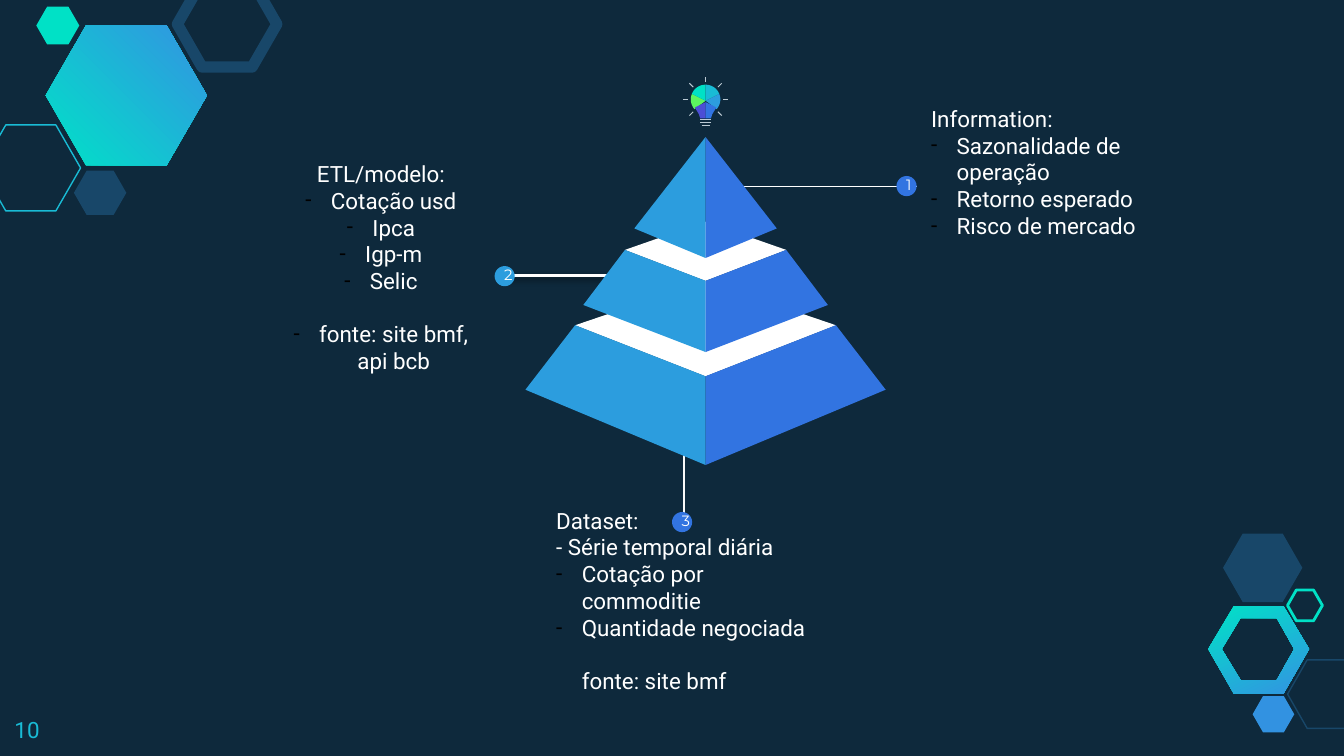
import math
import pptx
import pptx.util
import pptx.dml.color
import pptx.enum.shapes
import pptx.enum.text
import pptx.oxml
import pptx.oxml.ns

Inches = pptx.util.Inches
Pt = pptx.util.Pt
KIND = pptx.enum.shapes.MSO_SHAPE
ALIGN = pptx.enum.text.PP_ALIGN
NS = pptx.oxml.ns.nsdecls("a")
DARK, NAVY, MINT, CYAN = "0E293C", "184769", "00E1C6", "19BBD5"
SKY, BLUE, WHITE, GREY = "2C9DDE", "3274E1", "FFFFFF", "BBC9D3"


def tint(code):
    return pptx.dml.color.RGBColor.from_string(code)


def put(item, vals):
    for key, val in vals.items():
        setattr(item, key, val)


def paint(shape, fill=None, line=None, width=0.75):
    shape.shadow.inherit = False
    if fill:
        shape.fill.solid()
        shape.fill.fore_color.rgb = tint(fill)
    else:
        shape.fill.background()
    if line:
        shape.line.color.rgb = tint(line)
        shape.line.width = Pt(width)
    else:
        shape.line.fill.background()


def blend(shape, angle, start, end):
    shape.fill.gradient()
    shape.fill.gradient_angle = angle
    for stop, code in zip(shape.fill.gradient_stops, (start, end)):
        stop.color.rgb = tint(code)


def poly(slide, left, top, loops, **look):
    loops = [[(Inches(left + x), Inches(top + y)) for x, y in loop] for loop in loops]
    build = slide.shapes.build_freeform(*loops[0][0], scale=1.0)
    build.add_line_segments(loops[0][1:], close=True)
    for loop in loops[1:]:
        build.move_to(*loop[0])
        build.add_line_segments(loop[1:], close=True)
    shape = build.convert_to_shape()
    paint(shape, **look)
    return shape


def rule(slide, start, end, code, width, glow=False):
    ends = [Inches(v) for v in (*start, *end)]
    line = slide.shapes.add_connector(pptx.enum.shapes.MSO_CONNECTOR.STRAIGHT, *ends)
    line.line.color.rgb = tint(code)
    line.line.width = Pt(width)
    cast = ('<a:outerShdw blurRad="39370" dist="20320" dir="5400000" rotWithShape="0">'
            '<a:srgbClr val="000000"><a:alpha val="38000"/></a:srgbClr></a:outerShdw>')
    xml = f'<a:effectLst {NS}>{cast if glow else ""}</a:effectLst>'
    line._element.spPr.append(pptx.oxml.parse_xml(xml))


def write(slide, box, rows, face="Roboto", size=12, code=WHITE, align=ALIGN.LEFT):
    frame = slide.shapes.add_textbox(*[Inches(v) for v in box]).text_frame
    edge = Inches(0.1)
    put(frame, {"word_wrap": True, "margin_left": edge, "margin_right": edge,
                "margin_top": edge, "margin_bottom": edge})
    for spot, (text, mark, gap) in enumerate(rows):
        para = frame.add_paragraph() if spot else frame.paragraphs[0]
        put(para, {"alignment": align, "space_before": Pt(gap)})
        run = para.add_run()
        run.text = text
        put(run.font, {"name": face, "size": Pt(size)})
        run.font.color.rgb = tint(code)
        if mark:
            props = para._p.get_or_add_pPr()
            dent = Inches(0.19)
            props.set("marL", str(dent))
            props.set("indent", str(-dent if mark == "-" else 0))
            if mark == "-":
                for xml in (f'<a:buClr {NS}><a:srgbClr val="000000"/></a:buClr>',
                            f'<a:buFont {NS} typeface="{face}"/>',
                            f'<a:buChar {NS} char="-"/>'):
                    props.append(pptx.oxml.parse_xml(xml))


def hexes(slide, left, top, cells):
    for x, y, wide, high, look in cells:
        box = [Inches(v) for v in (left + x, top + y, wide, high)]
        shape = slide.shapes.add_shape(KIND.HEXAGON, *box)
        shape.adjustments[0] = 0.287
        paint(shape, **look)


def upper(slide, left, top):
    big = [(0.34, 0.71), (0.64, 0.19), (1.24, 0.19), (1.54, 0.71), (1.24, 1.23), (0.64, 1.23)]
    blend(poly(slide, left, top, [big]), 45, "00E2C7", "3393E2")
    hexes(slide, left, top, [
        (-0.14, 0.93, 0.74, 0.64, {"line": CYAN}),
        (0.55, 1.27, 0.39, 0.33, {"fill": NAVY}),
        (1.32, -0.14, 0.74, 0.64, {"line": NAVY, "width": 6}),
        (0.27, 0.05, 0.32, 0.28, {"fill": MINT})])


def lower(slide, left, top):
    outer = [(0, 0.86), (0.19, 0.54), (0.56, 0.54), (0.75, 0.86), (0.56, 1.19), (0.19, 1.19)]
    inner = [(0.1, 0.86), (0.24, 1.09), (0.51, 1.09), (0.64, 0.86), (0.51, 0.63), (0.24, 0.63)]
    blend(poly(slide, left, top, [outer, inner]), 296, "00E2C7", "3393E2")
    hexes(slide, left, top, [
        (0.59, 0.94, 0.59, 0.51, {"line": NAVY}),
        (0.33, 1.21, 0.31, 0.27, {"fill": "3292E1"}),
        (0.11, 0, 0.59, 0.51, {"fill": NAVY}),
        (0.59, 0.42, 0.26, 0.23, {"line": MINT, "width": 1.5})])


def pyramid(slide, axis, top):
    tiers = [
        ([(-0.97, 1.4), (0, 1.78), (0.97, 1.4), (0, 1.07)],
         [(0.97, 1.4), (1.34, 1.88), (0, 2.44), (0, 1.78)]),
        ([(-0.6, 0.84), (0, 1.07), (0.6, 0.84), (0, 0.63)],
         [(0.6, 0.84), (0.91, 1.25), (0, 1.6), (0, 1.07)]),
        ([], [(0, 0), (0.53, 0.68), (0, 0.9)])]
    for lid, face in tiers:
        if lid:
            poly(slide, axis, top, [lid], fill=WHITE)
        for side, code in ((-1, SKY), (1, BLUE)):
            poly(slide, axis, top, [[(side * x, y) for x, y in face]], fill=code)


def bulb(slide, midx, midy):
    def polar(turn, reach):
        angle = math.radians(turn)
        return reach * math.cos(angle), reach * math.sin(angle)

    turns = [139, 202, 270, 338, 401]
    for start, end, code in zip(turns, turns[1:], ("5CF55F", MINT, CYAN, SKY)):
        arc = [polar(start + (end - start) * k / 8, 0.11) for k in range(9)]
        poly(slide, midx, midy, [[(0, 0.01), *arc]], fill=code)
    for side, code in ((-1, "4C4ED5"), (1, BLUE)):
        neck = [(0, 0.02), (0.08 * side, 0.06), (0.05 * side, 0.11), (0.04 * side, 0.14), (0, 0.14)]
        poly(slide, midx, midy, [neck], fill=code)
    for turn in (0, 45, 135, 180, 225, 270, 315):
        near, far = [(midx + x, midy + y) for x, y in (polar(turn, 0.13), polar(turn, 0.17))]
        rule(slide, near, far, GREY, 0.5)
    for half, drop in ((0.04, 0.15), (0.04, 0.17), (0.03, 0.19)):
        rule(slide, (midx - half, midy + drop), (midx + half, midy + drop), GREY, 0.5)


def callout(slide, dot, line, box, rows, digit, code, align=ALIGN.LEFT):
    rule(slide, *line)
    write(slide, box, rows, align=align)
    left, top = dot
    shape = slide.shapes.add_shape(KIND.OVAL, *[Inches(v) for v in (left, top, 0.15, 0.15)])
    paint(shape, fill=code)
    write(slide, (left - 0.02, top - 0.07, 0.19, 0.23), [(digit, "", 0)],
          face="Montserrat", size=8, align=ALIGN.CENTER)


def main():
    deck = pptx.Presentation()
    put(deck, {"slide_width": Pt(720), "slide_height": Pt(405)})
    slide = deck.slides.add_slide(deck.slide_layouts[6])
    slide.background.fill.solid()
    slide.background.fill.fore_color.rgb = tint(DARK)
    lower(slide, 8.99, 3.97)
    upper(slide, 0, 0)
    write(slide, (0.01, 5.23, 0.6, 0.39), [("10", "", 0)], code=CYAN)
    callout(slide, (5, 3.81), ((5.09, 3.28), (5.09, 3.88), "F9F9F9", 0.75),
            (4.04, 3.67, 2.18, 1.6),
            [("Dataset:", "", 0), ("- Série temporal diária", "", 0),
             ("Cotação por commoditie", "-", 0), ("Quantidade negociada", "-", 0),
             ("fonte: site bmf", "in", 14)], "3", BLUE)
    callout(slide, (3.68, 1.98), ((4.53, 2.05), (3.73, 2.05), WHITE, 2, True),
            (2, 1.09, 1.67, 1.8),
            [("ETL/modelo:", "", 0), ("Cotação usd", "-", 0), ("Ipca", "-", 0),
             ("Igp-m", "-", 0), ("Selic", "-", 0),
             ("fonte: site bmf, api bcb", "-", 14)], "2", SKY, ALIGN.CENTER)
    callout(slide, (6.67, 1.31), ((5.51, 1.39), (6.82, 1.39), WHITE, 0.75),
            (6.83, 0.68, 2.05, 1.2),
            [("Information:", "", 0), ("Sazonalidade de operação", "-", 0),
             ("Retorno esperado", "-", 0), ("Risco de mercado", "-", 0)], "1", BLUE)
    pyramid(slide, 5.25, 1.02)
    bulb(slide, 5.25, 0.74)
    deck.save("out.pptx")


if __name__ == "__main__":
    main()
